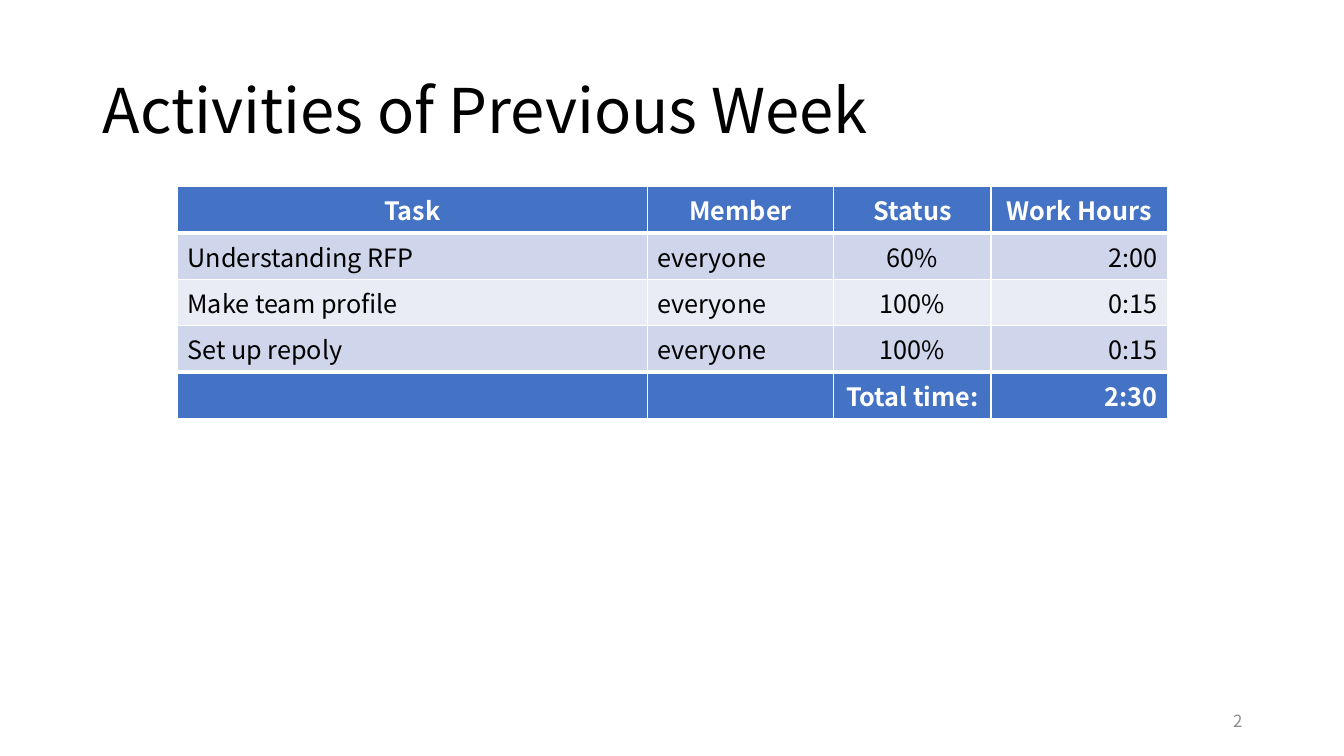
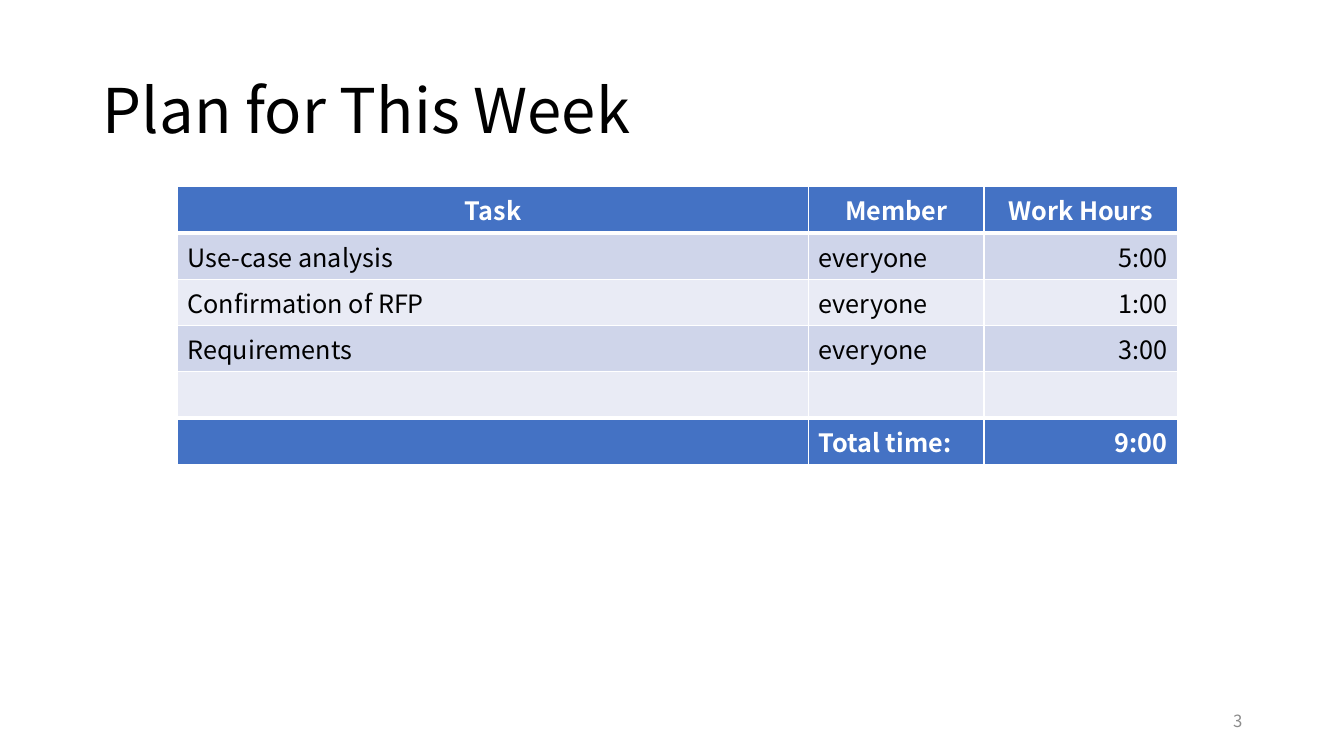
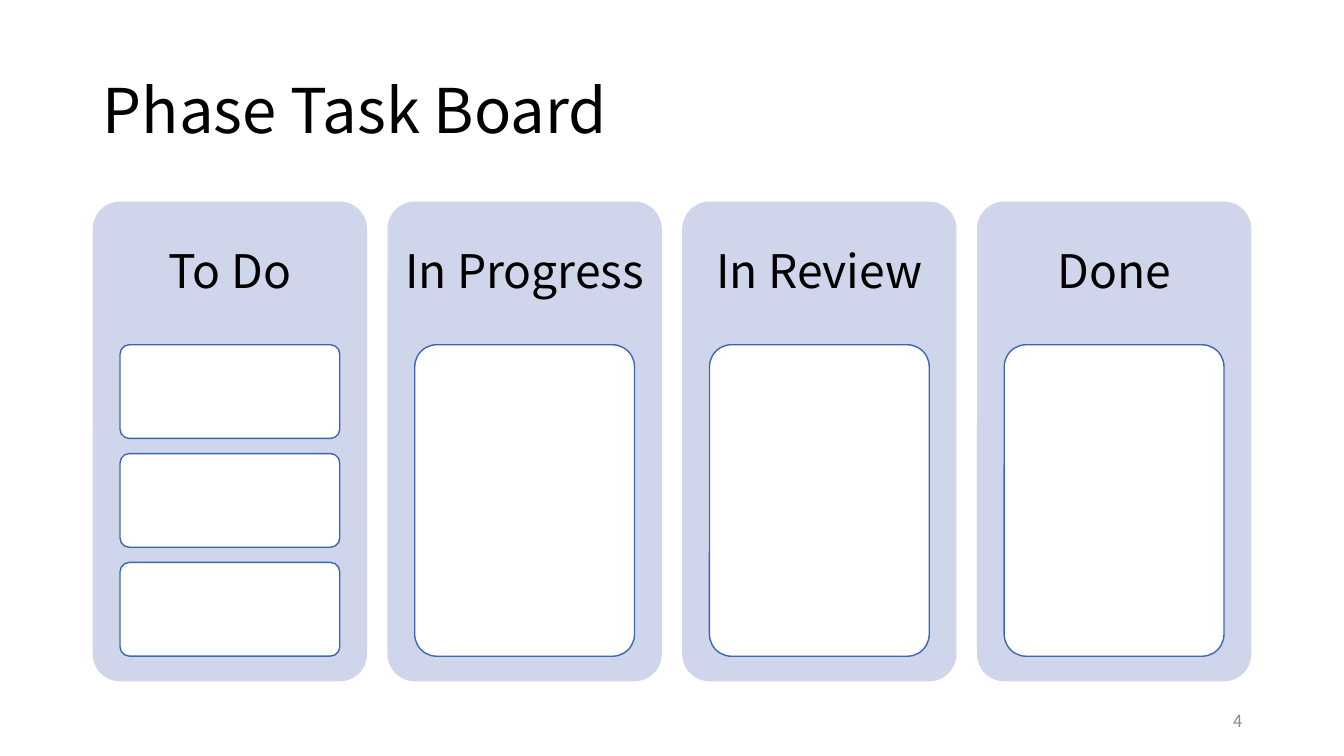
from dataclasses import dataclass

from lxml.etree import SubElement
from pptx import Presentation
from pptx.dml.color import RGBColor
from pptx.enum.shapes import MSO_SHAPE as Preset
from pptx.enum.text import MSO_ANCHOR as Anchor, MSO_AUTO_SIZE as AutoSize, PP_ALIGN as Align
from pptx.oxml.ns import qn
from pptx.presentation import Presentation as Deck
from pptx.slide import Slide
from pptx.table import _Cell as Cell
from pptx.text.text import _Paragraph as Paragraph
from pptx.util import Inches, Pt

FONT = "Noto Sans CJK JP"
BLACK, WHITE, GREY = "000000", "FFFFFF", "8C8C8C"
BLUE, DARK_BLUE = "4472C4", "3E67B2"
BAND_DARK, BAND_LIGHT = "CFD5EA", "E9EBF5"

LEFT = 0.92
TABLE_LEFT, TABLE_TOP, ROW_HEIGHT = 1.76, 1.85, 0.46
BOARD_TOP, BOARD_WIDTH = 2.0, 11.49
LANE_WIDTH, LANE_HEIGHT, HEADING_HEIGHT = 2.72, 4.76, 1.43
CARD_INSET, CARDS_TOP, CARDS_HEIGHT, CARD_GAP = 0.27, 3.42, 3.09, 0.15


@dataclass(frozen=True)
class Column:
    heading: str
    width: float
    align: Align = Align.LEFT


@dataclass(frozen=True)
class TaskTable:
    title: str
    columns: list[Column]
    rows: list[list[str]]
    total: list[str]


@dataclass(frozen=True)
class Lane:
    heading: str
    cards: int = 1


TASK_TABLES = [
    TaskTable(
        "Activities of Previous Week",
        [
            Column("Task", 4.66),
            Column("Member", 1.85),
            Column("Status", 1.56, Align.CENTER),
            Column("Work Hours", 1.75, Align.RIGHT),
        ],
        [
            ["Understanding RFP", "everyone", "60%", "2:00"],
            ["Make team profile", "everyone", "100%", "0:15"],
            ["Set up repoly", "everyone", "100%", "0:15"],
        ],
        ["", "", "Total time:", "2:30"],
    ),
    TaskTable(
        "Plan for This Week",
        [
            Column("Task", 6.26),
            Column("Member", 1.74),
            Column("Work Hours", 1.92, Align.RIGHT),
        ],
        [
            ["Use-case analysis", "everyone", "5:00"],
            ["Confirmation of RFP", "everyone", "1:00"],
            ["Requirements", "everyone", "3:00"],
            ["", "", ""],
        ],
        ["", "Total time:", "9:00"],
    ),
]
LANES = [Lane("To Do", 3), Lane("In Progress"), Lane("In Review"), Lane("Done")]


def color(value: str) -> RGBColor:
    return RGBColor.from_string(value)


def style(para: Paragraph, size: float, ink: str, align: Align, bold: bool = False) -> None:
    para.alignment = align
    para.font.name = FONT
    para.font.size = Pt(size)
    para.font.bold = bold
    para.font.color.rgb = color(ink)


def add_label(page: Slide, text: str, left: float, top: float, width: float, height: float) -> Paragraph:
    box = page.shapes.add_textbox(Inches(left), Inches(top), Inches(width), Inches(height))
    frame = box.text_frame
    frame.word_wrap = True
    frame.vertical_anchor = Anchor.MIDDLE
    frame.text = text
    return frame.paragraphs[0]


def add_page(deck: Deck, title: str) -> Slide:
    page = deck.slides.add_slide(deck.slide_layouts[5])
    box = page.shapes.title
    box.left, box.top = Inches(LEFT), Inches(0.4)
    box.width, box.height = Inches(11.5), Inches(1.45)
    frame = box.text_frame
    frame.text = title
    frame.auto_size = AutoSize.NONE
    frame.vertical_anchor = Anchor.MIDDLE
    para = frame.paragraphs[0]
    para.line_spacing = 0.9
    style(para, 44, BLACK, Align.LEFT)
    number = add_label(page, str(len(deck.slides) + 1), 9.42, 6.95, 3, 0.4)
    style(number, 12, GREY, Align.RIGHT)
    return page


def set_borders(cell: Cell, top: float, bottom: float) -> None:
    properties = cell._tc.get_or_add_tcPr()
    for side, points in (("lnL", 1), ("lnR", 1), ("lnT", top), ("lnB", bottom)):
        line = SubElement(properties, qn(f"a:{side}"), w=str(Pt(points)))
        fill = SubElement(line, qn("a:solidFill"))
        SubElement(fill, qn("a:srgbClr"), val=WHITE)


def add_task_table(page: Slide, tasks: TaskTable) -> None:
    rows = [[column.heading for column in tasks.columns], *tasks.rows, tasks.total]
    last = len(rows) - 1
    width = sum(column.width for column in tasks.columns)
    table = page.shapes.add_table(
        len(rows), len(tasks.columns), Inches(TABLE_LEFT), Inches(TABLE_TOP),
        Inches(width), Inches(ROW_HEIGHT * len(rows)),
    ).table
    table.last_row = True
    for index, column in enumerate(tasks.columns):
        table.columns[index].width = Inches(column.width)
    for row, texts in enumerate(rows):
        strong = row in (0, last)
        band = BLUE if strong else BAND_DARK if row % 2 else BAND_LIGHT
        for index, text in enumerate(texts):
            cell = table.cell(row, index)
            cell.text = text
            align = Align.CENTER if row == 0 else tasks.columns[index].align
            style(cell.text_frame.paragraphs[0], 18, WHITE if strong else BLACK, align, strong)
            set_borders(cell, 3 if row in (1, last) else 1, 3 if row in (0, last - 1) else 1)
            cell.fill.solid()
            cell.fill.fore_color.rgb = color(band)


def add_panel(
    page: Slide, left: float, top: float, width: float, height: float, fill: str, outline: str | None = None
) -> None:
    panel = page.shapes.add_shape(
        Preset.ROUNDED_RECTANGLE, Inches(left), Inches(top), Inches(width), Inches(height)
    )
    panel.adjustments[0] = 0.1
    panel.shadow.inherit = False
    panel.fill.solid()
    panel.fill.fore_color.rgb = color(fill)
    if outline:
        panel.line.color.rgb = color(outline)
        panel.line.width = Pt(1)
    else:
        panel.line.fill.background()


def add_lane(page: Slide, lane: Lane, left: float) -> None:
    add_panel(page, left, BOARD_TOP, LANE_WIDTH, LANE_HEIGHT, BAND_DARK)
    heading = add_label(page, lane.heading, left, BOARD_TOP, LANE_WIDTH, HEADING_HEIGHT)
    heading.line_spacing = 0.9
    style(heading, 33, BLACK, Align.CENTER)
    card_height = (CARDS_HEIGHT - CARD_GAP * (lane.cards - 1)) / lane.cards
    for index in range(lane.cards):
        top = CARDS_TOP + index * (card_height + CARD_GAP)
        add_panel(
            page, left + CARD_INSET, top, LANE_WIDTH - 2 * CARD_INSET, card_height, WHITE, DARK_BLUE
        )


def add_board(page: Slide, lanes: list[Lane]) -> None:
    step = (BOARD_WIDTH - LANE_WIDTH) / (len(lanes) - 1)
    for index, lane in enumerate(lanes):
        add_lane(page, lane, LEFT + index * step)


def main() -> None:
    deck = Presentation()
    deck.slide_width, deck.slide_height = Inches(13.33), Inches(7.5)
    for tasks in TASK_TABLES:
        add_task_table(add_page(deck, tasks.title), tasks)
    add_board(add_page(deck, "Phase Task Board"), LANES)
    deck.save("out.pptx")


if __name__ == "__main__":
    main()
